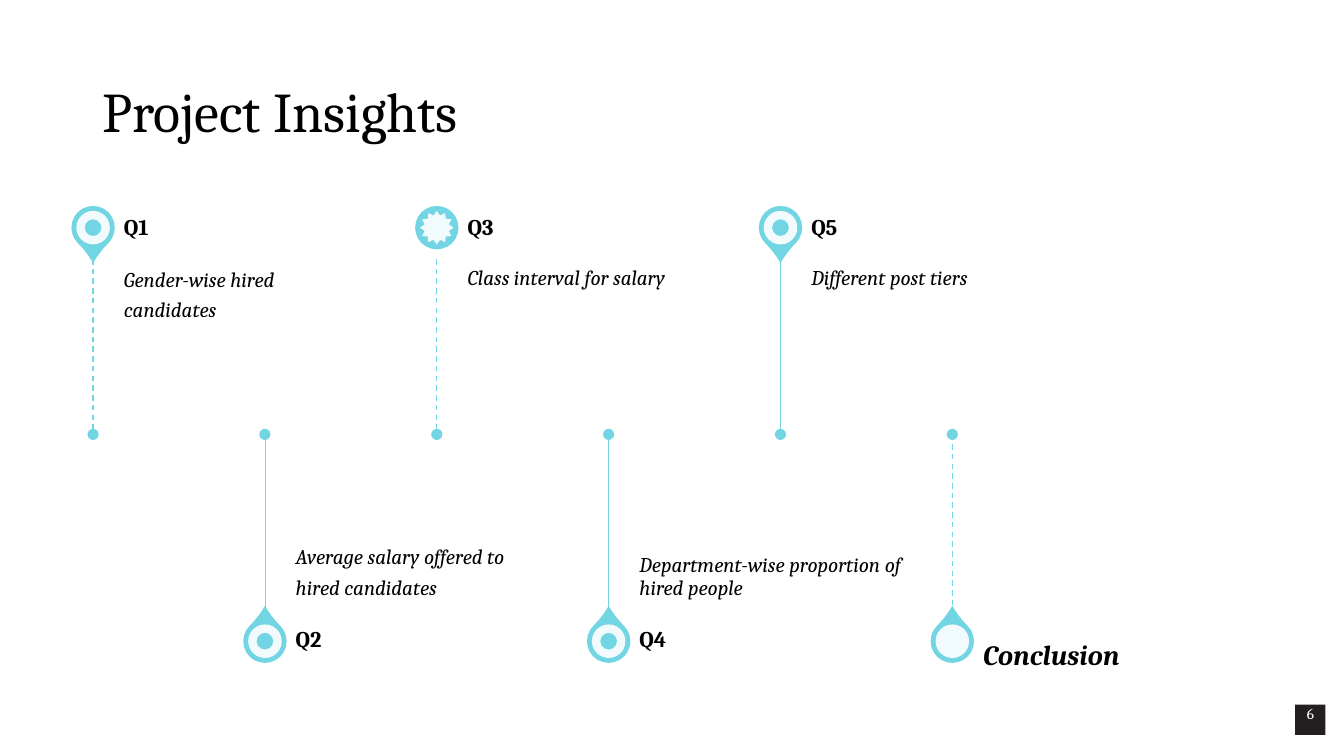
from dataclasses import dataclass
from lxml.etree import SubElement
from pptx import Presentation
from pptx.dml.color import RGBColor as Rgb
from pptx.enum.dml import MSO_LINE as Dash
from pptx.enum.shapes import MSO_CONNECTOR as Conn, MSO_SHAPE as Form
from pptx.enum.text import MSO_ANCHOR as Anchor, PP_ALIGN as Align
from pptx.oxml.ns import qn
from pptx.util import Pt


@dataclass(frozen=True)
class Theme:
    font: str = "Cambria"
    ink: str = "000000"
    teal: str = "72D5E3"
    white: str = "FFFFFF"
    dark: str = "231F20"
    title: float = 40
    final: float = 20
    label: float = 16
    body: float = 15
    page: float = 10.9


class Board:
    def __init__(self, slide, theme):
        self.slide = slide
        self.theme = theme

    def shape(self, form, left, top, width, height, color, turn=0, alpha=None):
        shape = self.slide.shapes.add_shape(form, Pt(left), Pt(top), Pt(width), Pt(height))
        shape.shadow.inherit = False
        shape.line.fill.background()
        shape.fill.solid()
        shape.fill.fore_color.rgb = Rgb.from_string(color)
        shape.rotation = turn
        if alpha:
            tint = shape._element.spPr.find(".//" + qn("a:srgbClr"))
            SubElement(tint, qn("a:alpha"), val=str(alpha * 1000))
        return shape

    def round(self, form, x, y, size, color, turn=0, alpha=None):
        return self.shape(form, x - size / 2, y - size / 2, size, size, color, turn, alpha)

    def label(self, shape, lines, size, color, pad, anchor=Anchor.TOP,
              bold=False, italic=False, align=Align.LEFT, after=0, lead=0.9):
        frame = shape.text_frame
        frame.word_wrap = True
        frame.vertical_anchor = anchor
        (frame.margin_left, frame.margin_top,
         frame.margin_right, frame.margin_bottom) = map(Pt, pad)
        frame.text = "\n".join(lines)
        for para in frame.paragraphs:
            para.alignment = align
            para.line_spacing = lead
            para.space_after = Pt(after)
            font = para.font
            font.name, font.size = self.theme.font, Pt(size)
            font.bold, font.italic = bold, italic
            font.color.rgb = Rgb.from_string(color)

    def text(self, left, top, width, height, lines, size, pad, **style):
        box = self.slide.shapes.add_textbox(Pt(left), Pt(top), Pt(width), Pt(height))
        self.label(box, lines, size, self.theme.ink, pad, **style)

    def line(self, x, top, end, dashed):
        line = self.slide.shapes.add_connector(Conn.STRAIGHT, Pt(x), Pt(top), Pt(x), Pt(end))
        line.line.color.rgb = Rgb.from_string(self.theme.teal)
        line.line.width = Pt(1 if dashed else 0.5)
        if dashed:
            line.line.dash_style = Dash.DASH
        SubElement(line._element.spPr, qn("a:effectLst"))

    def pin(self, x, y, outer, inner, turn):
        head = self.round(outer, x, y, 31, self.theme.teal, turn)
        if outer == Form.TEAR:
            head.adjustments[0] = 1.15
        self.round(inner, x, y, 24, self.theme.white, alpha=90)

    def stop(self, x, above, name, lines, outer, inner, dashed):
        theme = self.theme
        side = -1 if above else 1
        far = MID + side * STEM
        left = x + 22
        self.pin(x, MID + side * 147.7, outer, inner, 135 if above else 315)
        if lines:
            self.text(left, min(MID, far), WIDE, STEM, lines, theme.body,
                      (0, 7.2, 7.2, 11.5) if above else (0, 11.5, 0, 7.2),
                      anchor=Anchor.TOP if above else Anchor.BOTTOM,
                      italic=True, after=5.5)
        self.text(left, far - TALL if above else far, WIDE, TALL, [name],
                  theme.label if lines else theme.final, (0, 0, 8, 0),
                  anchor=Anchor.MIDDLE if lines else Anchor.BOTTOM,
                  bold=True, italic=not lines, after=5.5)
        self.line(x, min(MID, far), max(MID, far), dashed)
        self.round(Form.OVAL, x, MID, 8, theme.teal)


MID, STEM, WIDE, TALL = 310.3, 125.3, 203, 44
START, STEP = 66.5, 122.75
STOPS = [
    ("Q1", ["Gender-wise hired", "candidates"], Form.TEAR, Form.DONUT, True),
    ("Q2", ["Average salary offered to", "hired candidates"], Form.TEAR, Form.DONUT, False),
    ("Q3", ["Class interval for salary"], Form.OVAL, Form.STAR_12_POINT, True),
    ("Q4", ["Department-wise proportion of hired people"], Form.TEAR, Form.DONUT, False),
    ("Q5", ["Different post tiers"], Form.TEAR, Form.DONUT, False),
    ("Conclusion", [], Form.TEAR, Form.OVAL, True),
]


def main():
    deck = Presentation()
    deck.slide_width, deck.slide_height = Pt(960), Pt(540)
    theme = Theme()
    board = Board(deck.slides.add_slide(deck.slide_layouts[6]), theme)
    board.text(66.2, 29.5, 828, 104.4, ["Project Insights"], theme.title,
               (7.2, 3.6, 7.2, 3.6), anchor=Anchor.MIDDLE)
    for i, stop in enumerate(STOPS):
        board.stop(START + i * STEP, i % 2 == 0, *stop)
    tile = board.shape(Form.RECTANGLE, 925.2, 503.3, 21.6, 21.6, theme.dark)
    board.label(tile, ["6"], theme.page, theme.white, (0, 0, 0, 0),
                align=Align.CENTER, lead=1.0)
    deck.save("out.pptx")


if __name__ == "__main__":
    main()
